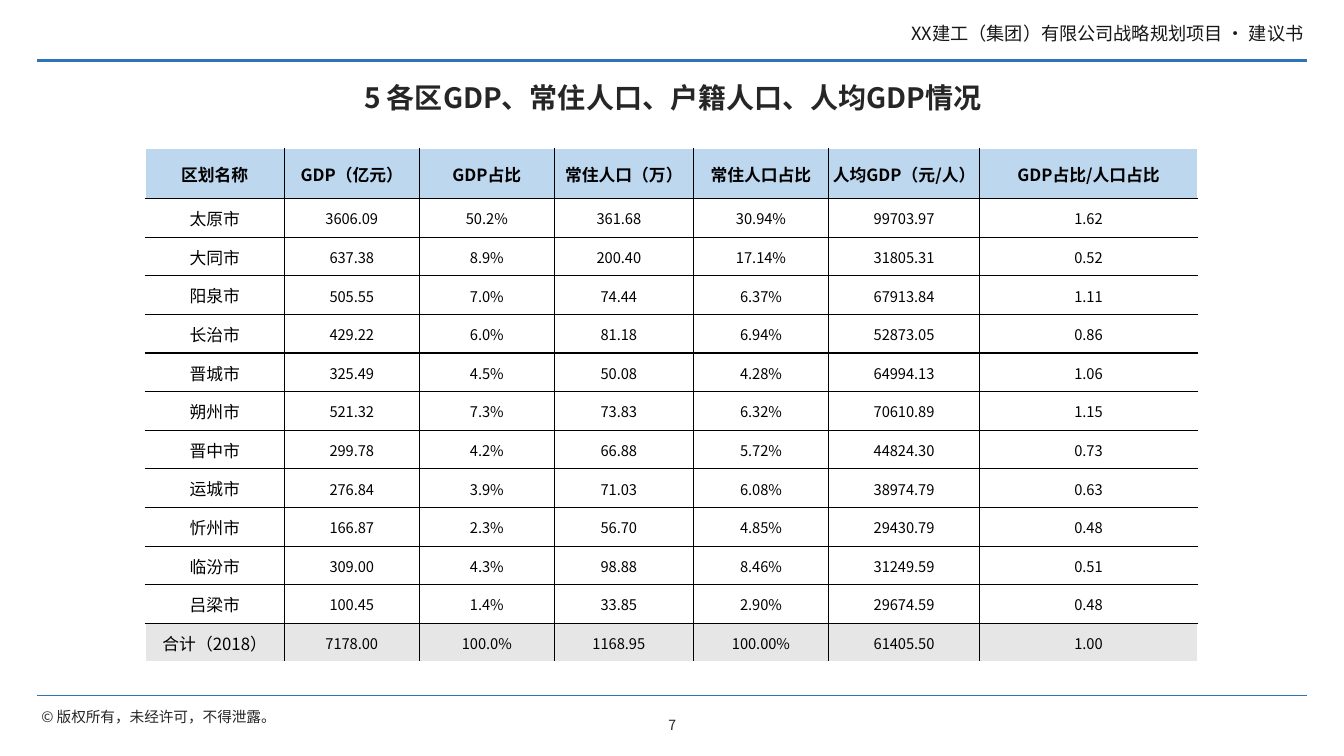
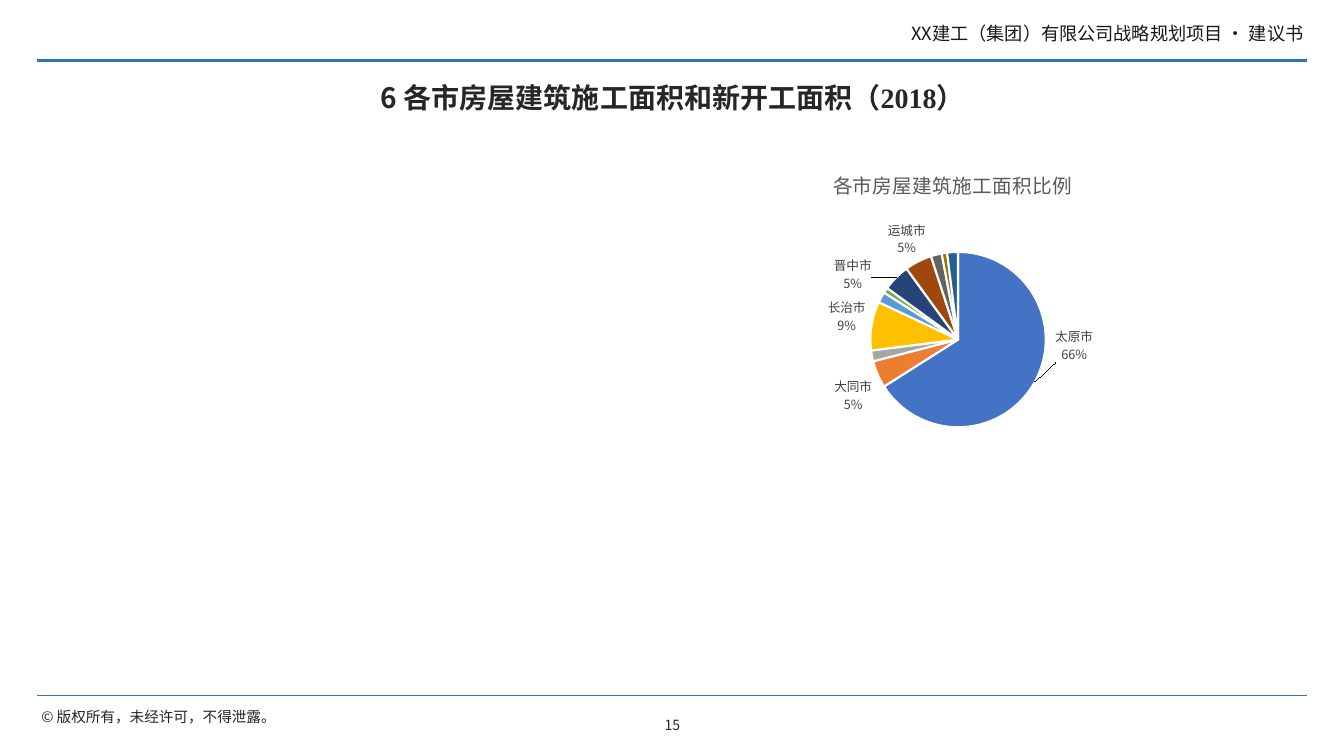
from copy import deepcopy
from dataclasses import dataclass

from pptx import Presentation
from pptx.chart.data import CategoryChartData as ChartData
from pptx.dml.color import RGBColor as RGB
from pptx.enum.chart import XL_CHART_TYPE as Kind, XL_LABEL_POSITION as Spot
from pptx.enum.shapes import MSO_CONNECTOR as Link
from pptx.enum.text import MSO_ANCHOR as Anchor, MSO_AUTO_SIZE as Fit, PP_ALIGN as Align
from pptx.oxml import parse_xml
from pptx.oxml.ns import nsdecls, qn
from pptx.util import Inches, Pt

BLUE = RGB(0x2E, 0x75, 0xB6)
BLACK = RGB(0, 0, 0)
WHITE = RGB(255, 255, 255)
NIGHT = RGB(0x18, 0x17, 0x17)
DARK = RGB(0x26, 0x26, 0x26)
SLATE = RGB(0x40, 0x40, 0x40)
GREY = RGB(0x59, 0x59, 0x59)
SKY = RGB(0xBD, 0xD7, 0xEE)
MIST = RGB(0xE7, 0xE6, 0xE6)
SANS = "Noto Sans CJK SC"
SERIF = "Times New Roman"


@dataclass(frozen=True)
class Box:
    """A place on the slide in inches."""
    left: float
    top: float
    width: float
    height: float

    def emu(self) -> tuple:
        """Return the four lengths."""
        return tuple(map(Inches, (self.left, self.top, self.width, self.height)))


@dataclass(frozen=True)
class Note:
    """A line of text in the frame of the slide."""
    text: str
    box: Box
    size: float
    color: RGB = DARK
    align: Align = Align.LEFT
    anchor: Anchor = Anchor.MIDDLE
    pad: float = 0.04
    wrap: bool = True
    fit: Fit = Fit.SHAPE_TO_FIT_TEXT


@dataclass(frozen=True)
class Rule:
    """A line across the slide."""
    top: float
    weight: float


@dataclass(frozen=True)
class Slice:
    """A city's share of the pie and where its label goes."""
    city: str
    share: int
    color: str
    shown: bool = False
    shift: tuple = ()


RULES = (Rule(0.6, 1.5), Rule(6.9, 0.75))
NOTES = (
    Note("XX建工（集团）有限公司战略规划项目 · 建议书", Box(6.83, 0.18, 6.14, 0.3),
         13, NIGHT, Align.RIGHT, Anchor.TOP),
    Note("© 版权所有，未经许可，不得泄露。", Box(0.37, 6.98, 2.47, 0.26), 10.5, wrap=False),
)
TITLE = Box(0.38, 0.67, 12.59, 0.63)
FOLIO = Box(6.09, 6.99, 1.16, 0.4)

GRID = Box(1.44, 1.47, 10.45, 5.1)
TOP = 0.5
WIDTHS = (1.38, 1.34, 1.34, 1.38, 1.34, 1.5, 2.16)
PEOPLE = 3
HEADS = ("区划名称", "GDP（亿元）", "GDP占比", "常住人口（万）", "常住人口占比",
         "人均GDP（元/人）", "GDP占比/人口占比")
ROWS = (
    ("太原市", "3606.09", "50.2%", "361.68", "30.94%", "99703.97", "1.62"),
    ("大同市", "637.38", "8.9%", "200.40", "17.14%", "31805.31", "0.52"),
    ("阳泉市", "505.55", "7.0%", "74.44", "6.37%", "67913.84", "1.11"),
    ("长治市", "429.22", "6.0%", "81.18", "6.94%", "52873.05", "0.86"),
    ("晋城市", "325.49", "4.5%", "50.08", "4.28%", "64994.13", "1.06"),
    ("朔州市", "521.32", "7.3%", "73.83", "6.32%", "70610.89", "1.15"),
    ("晋中市", "299.78", "4.2%", "66.88", "5.72%", "44824.30", "0.73"),
    ("运城市", "276.84", "3.9%", "71.03", "6.08%", "38974.79", "0.63"),
    ("忻州市", "166.87", "2.3%", "56.70", "4.85%", "29430.79", "0.48"),
    ("临汾市", "309.00", "4.3%", "98.88", "8.46%", "31249.59", "0.51"),
    ("吕梁市", "100.45", "1.4%", "33.85", "2.90%", "29674.59", "0.48"),
    ("合计（2018）", "7178.00", "100.0%", "1168.95", "100.00%", "61405.50", "1.00"),
)

PIE = Box(6.98, 1.51, 5, 3)
SLICES = (
    Slice("太原市", 66, "4472C4", True, (0.03, -0.19)),
    Slice("大同市", 5, "ED7D31", True),
    Slice("阳泉市", 2, "A5A5A5"),
    Slice("长治市", 9, "FFC000", True, (0, 0.03)),
    Slice("晋城市", 2, "5B9BD5"),
    Slice("朔州市", 1, "70AD47"),
    Slice("晋中市", 5, "264478", True, (-0.04, 0.06)),
    Slice("运城市", 5, "9E480E", True, (0.02, 0)),
    Slice("忻州市", 2, "636363"),
    Slice("临汾市", 1, "997300"),
    Slice("吕梁市", 2, "255E91"),
)


def style(font, size: float, color: RGB, bold: bool = False, name: str = SANS) -> None:
    """Set the look of a font."""
    font.name, font.size, font.bold = name, Pt(size), bold
    font.color.rgb = color


def asian(root) -> None:
    """Use each Latin typeface for Chinese text as well."""
    for latin in list(root.iter(qn("a:latin"))):
        face = latin.get("typeface")
        latin.addnext(parse_xml(f'<a:ea {nsdecls("a")} typeface="{face}"/>'))


def write(slide, note: Note) -> None:
    """Add a text box."""
    frame = slide.shapes.add_textbox(*note.box.emu()).text_frame
    frame.text = note.text
    frame.word_wrap, frame.auto_size = note.wrap, note.fit
    frame.vertical_anchor = note.anchor
    frame.margin_left = frame.margin_right = Inches(note.pad)
    frame.margin_top = frame.margin_bottom = Inches(note.pad)
    para = frame.paragraphs[0]
    para.alignment = note.align
    style(para.runs[0].font, note.size, note.color)


def draw(slide, rule: Rule) -> None:
    """Add a line across the slide."""
    top = Inches(rule.top)
    link = slide.shapes.add_connector(Link.STRAIGHT, Inches(0.37), top, Inches(12.97), top)
    link.line.color.rgb, link.line.width = BLUE, Pt(rule.weight)
    link.element.find(qn("p:spPr")).append(parse_xml(f'<a:effectLst {nsdecls("a")}/>'))


def start(deck, number: str, parts: tuple):
    """Add a slide with its frame, page number and title."""
    slide = deck.slides.add_slide(deck.slide_layouts[5])
    for rule in RULES:
        draw(slide, rule)
    folio = Note(number, FOLIO, 10, align=Align.CENTER, pad=0.05, fit=Fit.NONE)
    for note in (*NOTES, folio):
        write(slide, note)
    title = slide.shapes.title
    title.left, title.top, title.width, title.height = TITLE.emu()
    frame = title.text_frame
    frame.auto_size, frame.vertical_anchor = Fit.NONE, Anchor.MIDDLE
    para = frame.paragraphs[0]
    para.alignment, para.line_spacing = Align.CENTER, 0.9
    for text, face in parts:
        run = para.add_run()
        run.text = text
        style(run.font, 20, DARK, True, face)
    return slide


def border(cell, sides: str) -> None:
    """Draw black lines on the given sides of a cell."""
    props = cell._tc.get_or_add_tcPr()
    for side in sides:
        props.append(parse_xml(
            f'<a:ln{side} {nsdecls("a")} w="12700"><a:solidFill>'
            f'<a:srgbClr val="{BLACK}"/></a:solidFill></a:ln{side}>'))


def fill(cell, row: int, col: int, text: str) -> None:
    """Write and format one table cell."""
    last, end = len(ROWS), len(WIDTHS) - 1
    inner = {"L": col > 0, "R": col < end, "T": row > 0, "B": row < last}
    border(cell, "".join(side for side, on in inner.items() if on))
    if row in (0, last):
        cell.fill.solid()
        cell.fill.fore_color.rgb = MIST if row else SKY
    else:
        cell.fill.background()
    cell.text = text
    cell.vertical_anchor = Anchor.MIDDLE
    cell.margin_left = cell.margin_top = Inches(0.01)
    cell.margin_right = Inches(0.11 if row and col == PEOPLE else 0.01)
    cell.margin_bottom = 0
    para = cell.text_frame.paragraphs[0]
    para.alignment = Align.CENTER
    style(para.runs[0].font, 10.5 if row and col else 12, BLACK, row == 0)


def tabulate(slide) -> None:
    """Add the table of districts."""
    lines = (HEADS, *ROWS)
    table = slide.shapes.add_table(len(lines), len(WIDTHS), *GRID.emu()).table
    table.first_row = table.horz_banding = False
    for col, width in zip(table.columns, WIDTHS):
        col.width = Inches(width)
    step = (GRID.height - TOP) / len(ROWS)
    for row, line in enumerate(lines):
        table.rows[row].height = Inches(step if row else TOP)
        for col, text in enumerate(line):
            fill(table.cell(row, col), row, col, text)


def place(node, index: int, inner: str = "", **spots: float) -> None:
    """Give a chart part a fixed layout."""
    old = node.find(qn("c:layout"))
    if old is not None:
        node.remove(old)
    lines = "".join(f'<c:{key} val="{val}"/>' for key, val in spots.items())
    node.insert(index, parse_xml(
        f'<c:layout {nsdecls("c")}><c:manualLayout>{inner}{lines}'
        '</c:manualLayout></c:layout>'))


def tag(root) -> None:
    """Hide the small slices' labels and move the shifted ones."""
    labels = root.find(".//" + qn("c:dLbls"))
    leader = labels.find(qn("c:showLeaderLines"))
    if leader is None:
        leader = parse_xml(f'<c:showLeaderLines {nsdecls("c")} val="1"/>')
        labels.append(leader)
    leader.addprevious(parse_xml(f'<c:separator {nsdecls("c")}>\n</c:separator>'))
    shared = [node for node in labels if node is not leader]
    marks = []
    for index, part in enumerate(SLICES):
        if part.shown and not part.shift:
            continue
        mark = parse_xml(f'<c:dLbl {nsdecls("c")}><c:idx val="{index}"/></c:dLbl>')
        if part.shown:
            mark.extend(deepcopy(shared))
            place(mark, 1, x=part.shift[0], y=part.shift[1])
        else:
            mark.append(parse_xml(f'<c:delete {nsdecls("c")} val="1"/>'))
        marks.append(mark)
    for spot, mark in enumerate(marks):
        labels.insert(spot, mark)


def chart(slide) -> None:
    """Add the pie of building areas."""
    data = ChartData()
    data.categories = [part.city for part in SLICES]
    data.add_series("Series 1", [part.share for part in SLICES])
    pie = slide.shapes.add_chart(Kind.PIE, *PIE.emu(), data).chart
    style(pie.font, 10, BLACK)
    pie.has_legend, pie.has_title = False, True
    frame = pie.chart_title.text_frame
    frame.text = "各市房屋建筑施工面积比例"
    style(frame.paragraphs[0].runs[0].font, 14, GREY)
    plot = pie.plots[0]
    plot.vary_by_categories = True
    series = plot.series[0]
    for index, part in enumerate(SLICES):
        look = series.points[index].format
        look.fill.solid()
        look.fill.fore_color.rgb = RGB.from_string(part.color)
        look.line.color.rgb, look.line.width = WHITE, Pt(1.5)
    labels = series.data_labels
    labels.show_value = False
    labels.show_category_name = labels.show_percentage = True
    labels.number_format, labels.number_format_is_linked = "0%", False
    labels.position = Spot.OUTSIDE_END
    style(labels.font, 9, SLATE)
    root = pie.element
    tag(root)
    edge = '<c:xMode val="edge"/><c:yMode val="edge"/>'
    place(root.find(".//" + qn("c:title")), 1, edge, x=0.25, y=0.04)
    place(root.find(".//" + qn("c:plotArea")), 0, '<c:layoutTarget val="inner"/>' + edge,
          x=0.33, y=0.33, w=0.35, h=0.58)
    asian(root)


def main() -> None:
    """Build and save the deck."""
    deck = Presentation()
    deck.slide_width, deck.slide_height = Inches(40 / 3), Inches(7.5)
    tabulate(start(deck, "7", (("5 各区GDP、常住人口、户籍人口、人均GDP情况", SANS),)))
    chart(start(deck, "15", (("6 各市房屋建筑施工面积和新开工面积（", SANS),
                             ("2018", SERIF), ("）", SANS))))
    for slide in deck.slides:
        asian(slide.element)
    deck.save("out.pptx")


if __name__ == "__main__":
    main()
